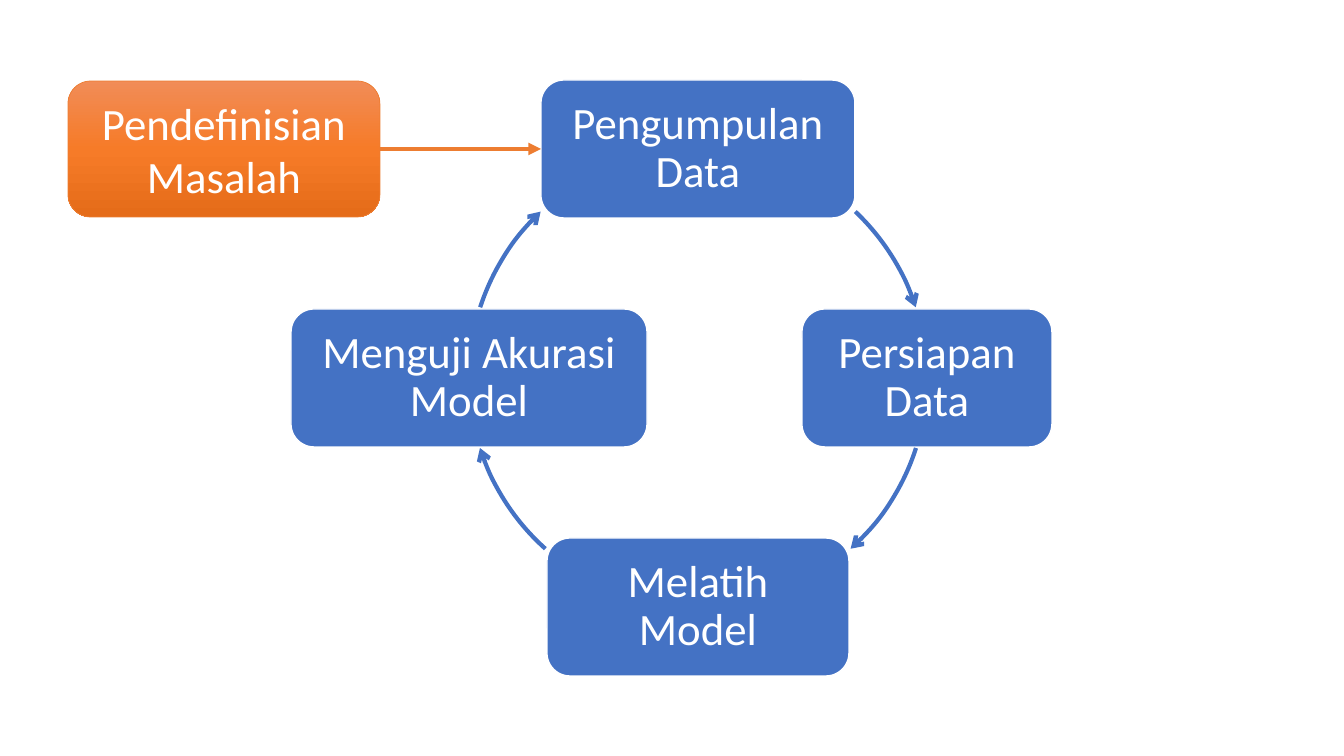
import copy
import math

import pptx
import pptx.util
import pptx.dml.color
import pptx.enum.shapes
import pptx.enum.text
import pptx.oxml
import pptx.oxml.ns

EMU_PER_PX = 12192000 / 1344
COLORS = {
    "blue": "4472C4",
    "white": "FFFFFF",
    "orange": "ED7D31",
    "orange_top": "F18C57",
    "orange_mid": "F67B28",
    "orange_low": "E56C19",
}
CENTER = (698, 378)
RADIUS = 229
STEP_HEIGHT = 138
STEPS = [
    ("Pengumpulan Data", 314, -90),
    ("Persiapan Data", 250, 0),
    ("Melatih Model", 302, 90),
    ("Menguji Akurasi Model", 356, 180),
]
ARCS = [(313.4, 342), (17.8, 48.2), (131.8, 162.2), (198, 226.6)]
STEP_FRAME = {"margin_left": 14, "margin_right": 14, "margin_top": 13, "margin_bottom": 13}
STEP_PARAGRAPH = {"line_spacing": 0.9}


def px(n):
    return pptx.util.Emu(round(n * EMU_PER_PX))


def rgb(name):
    return pptx.dml.color.RGBColor.from_string(COLORS[name])


def apply(target, values):
    for name, value in values.items():
        setattr(target, name, value)


def set_line(s, color, width):
    s.line.color.rgb = rgb(color)
    s.line.width = pptx.util.Pt(width)


def add_arrowhead(s, kind):
    ln = s.line._get_or_add_ln()
    ln.append(pptx.oxml.parse_xml(
        f'<a:tailEnd {pptx.oxml.ns.nsdecls("a")} type="{kind}"/>'))


def add_box(slide, text, center, size, margins, paragraph):
    (cx, cy), (w, h) = center, size
    s = slide.shapes.add_shape(
        pptx.enum.shapes.MSO_SHAPE.ROUNDED_RECTANGLE,
        px(cx - w / 2), px(cy - h / 2), px(w), px(h))
    s.shadow.inherit = False
    tf = s.text_frame
    apply(tf, {"word_wrap": True, "vertical_anchor": pptx.enum.text.MSO_ANCHOR.MIDDLE})
    apply(tf, {name: px(n) for name, n in margins.items()})
    p = tf.paragraphs[0]
    apply(p, {"alignment": pptx.enum.text.PP_ALIGN.CENTER, **paragraph})
    r = p.add_run()
    r.text = text
    apply(r.font, {"name": "Calibri", "size": pptx.util.Pt(32)})
    r.font.color.rgb = rgb("white")
    return s


def add_step(slide, text, width, degrees):
    angle = math.radians(degrees)
    center = (CENTER[0] + RADIUS * math.cos(angle), CENTER[1] + RADIUS * math.sin(angle))
    s = add_box(slide, text, center, (width, STEP_HEIGHT), STEP_FRAME, STEP_PARAGRAPH)
    s.fill.solid()
    s.fill.fore_color.rgb = rgb("blue")
    set_line(s, "white", 1)
    return s


def add_arc(slide, start, end):
    s = slide.shapes.add_shape(
        pptx.enum.shapes.MSO_SHAPE.ARC,
        px(CENTER[0] - RADIUS), px(CENTER[1] - RADIUS), px(2 * RADIUS), px(2 * RADIUS))
    s.shadow.inherit = False
    s.fill.background()
    for i, degrees in enumerate((start, end)):
        s.adjustments[i] = degrees * 0.6
    set_line(s, "blue", 3)
    add_arrowhead(s, "arrow")


def add_problem(slide):
    s = add_box(slide, "Pendefinisian Masalah", (224, CENTER[1] - RADIUS), (312, 136), {}, {})
    s.fill.gradient()
    s.fill.gradient_angle = 270
    gs_list = s._element.spPr.find(".//" + pptx.oxml.ns.qn("a:gsLst"))
    gs_list.insert(1, copy.deepcopy(gs_list[0]))
    names = ("orange_top", "orange_mid", "orange_low")
    for i, (stop, name) in enumerate(zip(s.fill.gradient_stops, names)):
        stop.position = i / 2
        stop.color.rgb = rgb(name)
    set_line(s, "orange", 0.5)
    return s


def add_link(slide, source, target):
    s = slide.shapes.add_connector(pptx.enum.shapes.MSO_CONNECTOR.STRAIGHT, 0, 0, 0, 0)
    s.begin_connect(source, 3)
    s.end_connect(target, 1)
    set_line(s, "orange", 3)
    add_arrowhead(s, "triangle")
    s._element.spPr.append(pptx.oxml.parse_xml(
        f'<a:effectLst {pptx.oxml.ns.nsdecls("a")}/>'))


def main():
    prs = pptx.Presentation()
    apply(prs, {"slide_width": px(1344), "slide_height": px(756)})
    slide = prs.slides.add_slide(prs.slide_layouts[6])
    steps = []
    for step, arc in zip(STEPS, ARCS):
        steps.append(add_step(slide, *step))
        add_arc(slide, *arc)
    add_link(slide, add_problem(slide), steps[0])
    prs.save("out.pptx")


if __name__ == "__main__":
    main()
